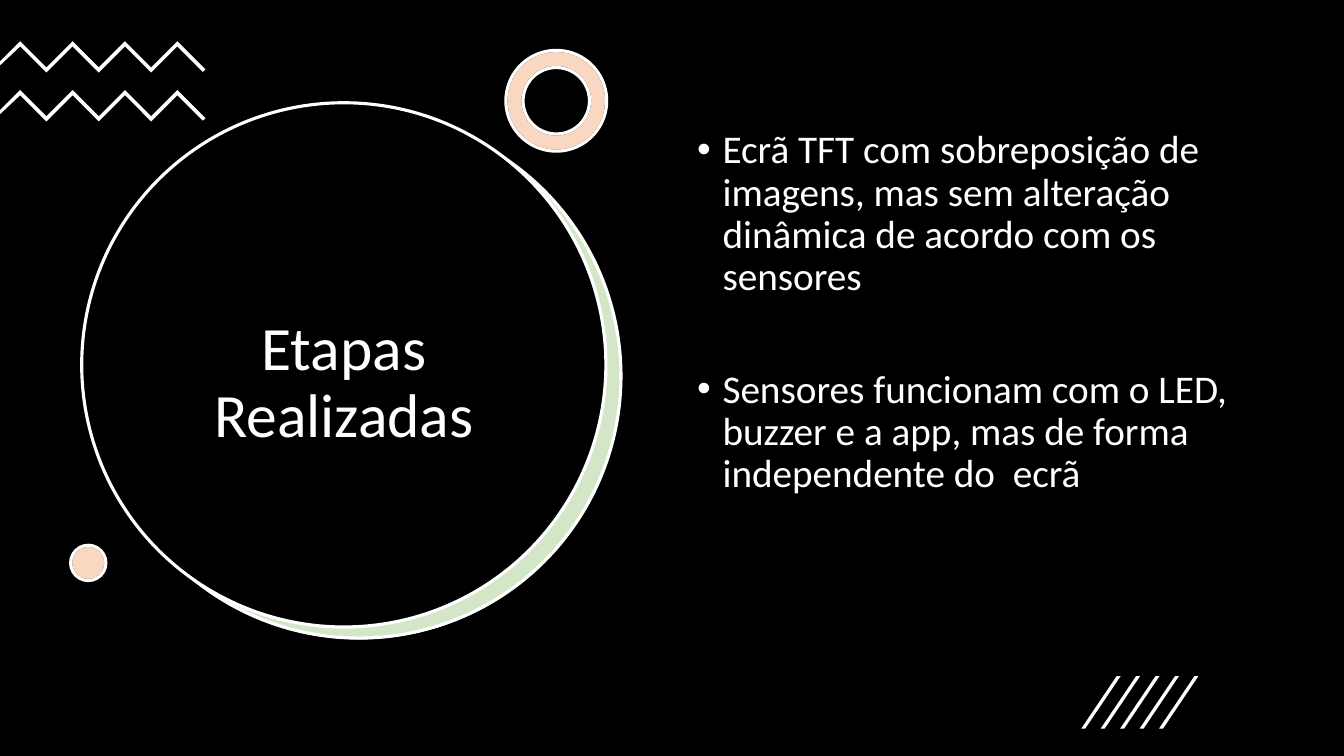
from lxml import etree
from pptx import Presentation
from pptx import util as u
from pptx.dml.color import RGBColor
from pptx.enum import shapes, text
from pptx.oxml import ns

BLACK = RGBColor(0x00, 0x00, 0x00)
WHITE = RGBColor(0xFF, 0xFF, 0xFF)
GREEN = RGBColor(0x70, 0xAD, 0x47)
ORANGE = RGBColor(0xED, 0x7D, 0x31)
Cm = u.Cm
Shape = shapes.MSO_SHAPE


def write(p, words, size=28, color=WHITE, font="Calibri", align=None, before=0):
    r = p.add_run()
    r.text = words
    r.font.name, r.font.size = font, u.Pt(size)
    r.font.color.rgb = color
    p.line_spacing = 0.9
    p.space_before = u.Pt(before)
    p.alignment = align


class Deck:
    def __init__(self, width, height):
        self.prs = Presentation()
        self.prs.slide_width, self.prs.slide_height = Cm(width), Cm(height)
        self.s = self.prs.slides.add_slide(self.prs.slide_layouts[5])

    def paint(self, sp, fill, line=None, alpha=None):
        sp.shadow.inherit = False
        sp.fill.solid()
        sp.fill.fore_color.rgb = fill
        if alpha:
            clr = sp._element.spPr.find(ns.qn("a:solidFill"))[0]
            etree.SubElement(clr, ns.qn("a:alpha"), val=str(alpha * 1000))
        if line is None:
            sp.line.fill.background()
        else:
            sp.line.color.rgb = line
            sp.line.width = u.Pt(2.25)

    def shape(self, kind, x, y, w, h, fill, line=None, alpha=None, adj=None):
        sp = self.s.shapes.add_shape(kind, Cm(x), Cm(y), Cm(w), Cm(h))
        if adj is not None:
            sp.adjustments[0] = adj
        self.paint(sp, fill, line, alpha)

    def tinted(self, kind, x, y, size, tint, adj=None):
        """White base with a translucent colour on top."""
        self.shape(kind, x, y, size, size, WHITE, BLACK, adj=adj)
        self.shape(kind, x, y, size, size, tint, WHITE, 30, adj)

    def outline(self, points, fill):
        pts = [(Cm(x), Cm(y)) for x, y in points]
        fb = self.s.shapes.build_freeform(*pts[0], scale=1.0)
        fb.add_line_segments(pts[1:], close=True)
        self.paint(fb.convert_to_shape(), fill)

    def title(self, words, x, y, w, h):
        sp = self.s.shapes.title
        self.s.shapes._spTree.append(sp._element)  # bring above the circles
        sp.left, sp.top, sp.width, sp.height = Cm(x), Cm(y), Cm(w), Cm(h)
        tf = sp.text_frame
        tf.word_wrap = True
        tf.vertical_anchor = text.MSO_ANCHOR.MIDDLE
        write(tf.paragraphs[0], words, size=44, align=text.PP_ALIGN.CENTER)

    def bullets(self, items, x, y, w, h):
        tf = self.s.shapes.add_textbox(Cm(x), Cm(y), Cm(w), Cm(h)).text_frame
        tf.word_wrap = True
        for i, (words, before) in enumerate(items):
            p = tf.add_paragraph() if i else tf.paragraphs[0]
            write(p, words, before=before)
            pPr = p._p.get_or_add_pPr()
            pPr.set("marL", str(Cm(0.64)))
            pPr.set("indent", str(-Cm(0.64)))
            etree.SubElement(pPr, ns.qn("a:buFont"), typeface="Arial")
            etree.SubElement(pPr, ns.qn("a:buChar"), char="•")


deck = Deck(33.87, 19.05)

# Background
deck.shape(Shape.RECTANGLE, 0, 0, 33.87, 19.05, BLACK)

# Title circle with its green crescent
deck.shape(Shape.OVAL, 2.46, 2.9, 13.21, 13.21, WHITE)
deck.shape(Shape.OVAL, 2.44, 2.87, 13.21, 13.21, GREEN, WHITE, 30)
deck.shape(Shape.OVAL, 2.06, 2.59, 13.21, 13.21, BLACK, WHITE)
deck.title("Etapas Realizadas", 3.07, 5.21, 11.2, 8.94)

# Zigzags at the top left
STEP, THICK = 0.66, 0.13
for top in (1.04, 2.27):
    upper = [(0.51 + i * STEP, top + i % 2 * STEP) for i in range(7)]
    lower = [(x, y + THICK) for x, y in reversed(upper)]
    tail = [(5.18, top + 0.71), (5.11, top + 0.77)]
    deck.outline(upper + tail + lower + [(0, top + 0.61), (0, top + 0.51)], WHITE)

# Orange ring and dot
deck.tinted(Shape.DONUT, 12.75, 1.27, 2.54, ORANGE, adj=0.17)
deck.tinted(Shape.OVAL, 1.78, 13.74, 0.89, ORANGE)

# Completed steps
deck.bullets([
    ("Ecrã TFT com sobreposição de imagens, mas sem alteração dinâmica "
     "de acordo com os sensores", 10),
    ("Sensores funcionam com o LED, buzzer e a app, mas de forma "
     "independente do  ecrã", 50),
], 17.32, 3.15, 14.5, 12.09)

# Slanted stripes at the bottom right
for i in range(5):
    x = 27.25 + i * 0.49
    deck.outline([(x + 0.1, 18.36), (x, 18.36), (x + 0.89, 17.04), (x + 0.99, 17.04)], WHITE)

deck.prs.save("out.pptx")
